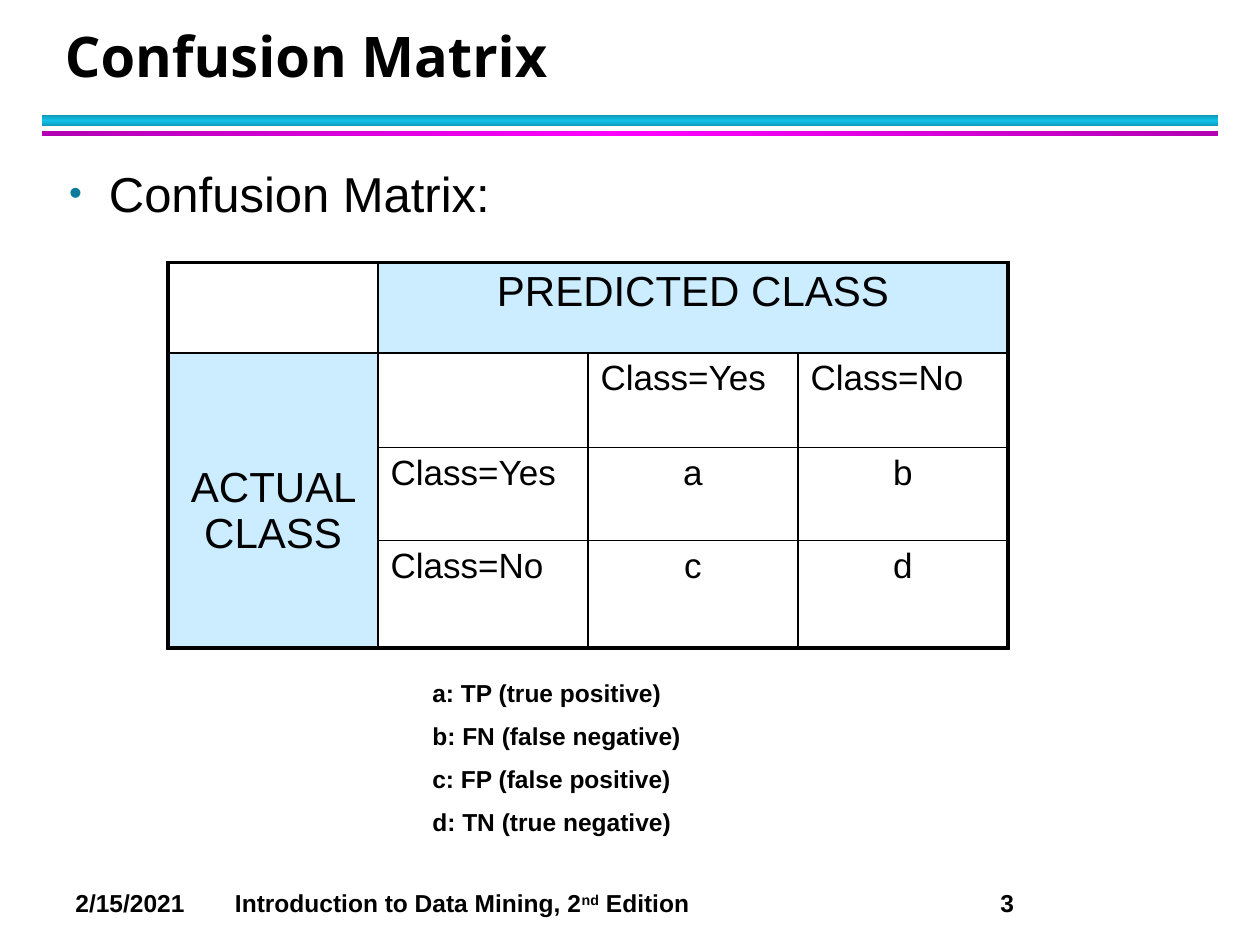
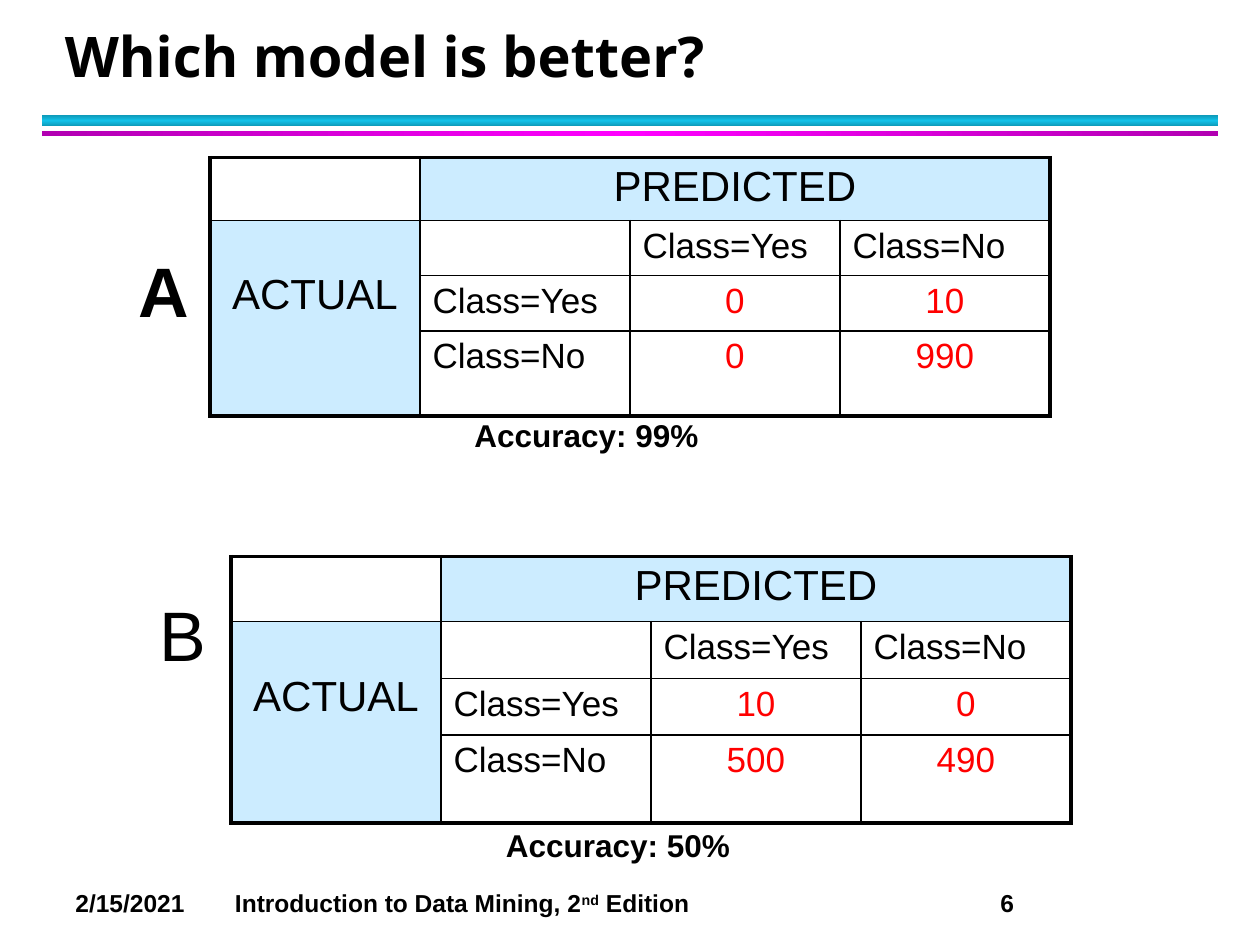
import copy
import pptx
import pptx.util
import pptx.dml.color
import pptx.enum.shapes
import pptx.enum.text
import pptx.oxml
import pptx.oxml.ns

RGB = pptx.dml.color.RGBColor
BLACK = RGB(0x00, 0x00, 0x00)
RED = RGB(0xFF, 0x00, 0x00)
PALE = RGB(0xCC, 0xEC, 0xFF)
TEAL = RGB(0x0E, 0x9B, 0xBA)
CYAN = RGB(0x12, 0xC2, 0xE9)
PLUM = RGB(0xB2, 0x00, 0xB2)
PINK = RGB(0xFF, 0x00, 0xFF)

Pt = pptx.util.Pt
qn = pptx.oxml.ns.qn
LEFT = pptx.enum.text.PP_ALIGN.LEFT
MID = pptx.enum.text.PP_ALIGN.CENTER
NS = 'xmlns:a="http://schemas.openxmlformats.org/drawingml/2006/main"'

# The slide is a grid of 120 columns by 90 rows, with square units
deck = pptx.Presentation()
deck.slide_width = pptx.util.Inches(10)
deck.slide_height = pptx.util.Inches(7.5)
UNIT = deck.slide_width // 120


def add_run(para, text, size, bold=False, color=BLACK, font="Arial"):
    run = para.add_run()
    run.text = text
    run.font.size = Pt(size)
    run.font.bold = bold
    run.font.name = font
    run.font.color.rgb = color
    return run


def add_box(slide, spot, wrap=True):
    box = slide.shapes.add_textbox(*[int(n * UNIT) for n in spot])
    box.text_frame.word_wrap = wrap
    return box.text_frame


# Slide contents: tables hold left, top, row heights, heads, drop, values, ink
pages = [
    dict(title="Confusion Matrix", num="3", tables=[
        (16, 25, (8.6, 9, 8.9, 10.2), "PREDICTED CLASS", "ACTUAL CLASS",
         10.6, (("a", "b"), ("c", "d")), BLACK)],
        notes=[]),
    dict(title="Which model is better?", num="6", tables=[
        (20, 15, (6, 5.25, 5.25, 8.1), "PREDICTED", "ACTUAL",
         4.9, (("0", "10"), ("0", "990")), RED),
        (22, 53, (6.2, 5.4, 5.4, 8.4), "PREDICTED", "ACTUAL",
         4.9, (("10", "0"), ("500", "490")), RED)],
        notes=[("A", (12, 23, 7.3, 9.2), 40, True, False),
               ("B", (14, 55.7, 7, 9.2), 40, False, False),
               ("Accuracy: 99%", (44, 39, 24, 4.8), 18, True, True),
               ("Accuracy: 50%", (47, 78.1, 24, 4.8), 18, True, True)]),
]
bands = [(11, 1, 90, TEAL, CYAN), (12.5, 0.5, 0, PLUM, PINK)]

for page in pages:
    slide = deck.slides.add_slide(deck.slide_layouts[6])

    # Bands under the title
    for top, high, angle, edge, core in bands:
        band = slide.shapes.add_shape(
            pptx.enum.shapes.MSO_SHAPE.RECTANGLE,
            *[int(n * UNIT) for n in (4, top, 112, high)])
        band.shadow.inherit = False
        band.line.fill.background()
        band.fill.gradient()
        band.fill.gradient_angle = angle
        stops = band._element.spPr.find(".//" + qn("a:gsLst"))
        stops.insert(1, copy.deepcopy(stops[0]))
        for stop, spot, color in zip(band.fill.gradient_stops,
                                     (0, 0.5, 1), (edge, core, edge)):
            stop.position = spot
            stop.color.rgb = color

    # Footer, with tab stops for the book and the page number
    para = add_box(slide, (6, 84, 112, 4)).paragraphs[0]
    add_run(para, "2/15/2021\tIntroduction to Data Mining, 2", 14, True)
    small = add_run(para, "nd", 14, True)
    small.font._element.set("baseline", "30000")
    add_run(para, " Edition\t" + page["num"], 14, True)
    tabs = "".join(f'<a:tab pos="{int(n * UNIT)}" algn="l"/>'
                   for n in (15.2, 88.1))
    para._p.get_or_add_pPr().append(
        pptx.oxml.parse_xml(f"<a:tabLst {NS}>{tabs}</a:tabLst>"))

    # Title
    frame = add_box(slide, (5, 2, 108.7, 7))
    frame.vertical_anchor = pptx.enum.text.MSO_ANCHOR.BOTTOM
    frame.paragraphs[0].line_spacing = Pt(36)
    add_run(frame.paragraphs[0], page["title"], 32, True, font="Open Sans")

    # Tables
    for left, top, highs, head, side, drop, vals, ink in page["tables"]:
        frame = slide.shapes.add_table(
            4, 4, *[int(n * UNIT) for n in (left, top, 80, sum(highs))])
        table = frame.table
        table.first_row = table.horz_banding = False
        for row, high in zip(table.rows, highs):
            row.height = int(high * UNIT)
        table.cell(0, 1).merge(table.cell(0, 3))
        table.cell(1, 0).merge(table.cell(3, 0))
        table.cell(1, 0).margin_top = int(drop * UNIT)

        texts = {(0, 1): (head, 24, MID, BLACK),
                 (1, 0): (side, 24, MID, BLACK)}
        for n, name in enumerate(("Class=Yes", "Class=No")):
            texts[1, n + 2] = texts[n + 2, 1] = (name, 20, LEFT, BLACK)
            for m in range(2):
                texts[n + 2, m + 2] = (vals[n][m], 20, MID, ink)

        for r in range(4):
            for c in range(4):
                cell = table.cell(r, c)
                # Borders come before the fill; the outer ones are thick
                props = cell._tc.get_or_add_tcPr()
                for tag, outer in (("lnL", c == 0), ("lnR", c == 3),
                                   ("lnT", r == 0), ("lnB", r == 3)):
                    if (r, c) == (0, 1) and tag == "lnR":
                        outer = True
                    if (r, c) == (1, 0) and tag == "lnB":
                        outer = True
                    wide = Pt(2.25 if outer else 1)
                    props.append(pptx.oxml.parse_xml(
                        f'<a:{tag} {NS} w="{wide}"><a:solidFill>'
                        f'<a:srgbClr val="{BLACK}"/></a:solidFill></a:{tag}>'))
                if (r == 0) != (c == 0):
                    cell.fill.solid()
                    cell.fill.fore_color.rgb = PALE
                else:
                    cell.fill.background()
                if (r, c) in texts:
                    text, size, align, color = texts[r, c]
                    para = cell.text_frame.paragraphs[0]
                    para.alignment = align
                    add_run(para, text, size, color=color)

    # Labels beside and below the tables
    for text, spot, size, bold, wrap in page["notes"]:
        add_run(add_box(slide, spot, wrap).paragraphs[0], text, size, bold)

# Bullet on the first slide
slide = deck.slides[0]
para = add_box(slide, (5.4, 15, 109.2, 68)).paragraphs[0]
para.space_before = Pt(2.8)
add_run(para, "Confusion Matrix:", 28)
props = para._p.get_or_add_pPr()
props.set("marL", str(int(3.8 * UNIT)))
props.set("indent", str(int(-3.8 * UNIT)))
for mark in ('buClr {}><a:srgbClr val="0C7B9C"/></a:buClr>',
             'buSzPct {} val="75000"/>',
             'buFont {} typeface="Arial"/>',
             'buChar {} char="•"/>'):
    props.append(pptx.oxml.parse_xml("<a:" + mark.format(NS)))

# Key to the four cells
frame = add_box(slide, (40, 64, 29, 16.5))
for n, text in enumerate(("a: TP (true positive)", "b: FN (false negative)",
                          "c: FP (false positive)", "d: TN (true negative)")):
    para = frame.add_paragraph() if n else frame.paragraphs[0]
    para.space_before = Pt(7.7 if n else 0)
    add_run(para, text, 14, True)

deck.save("out.pptx")
